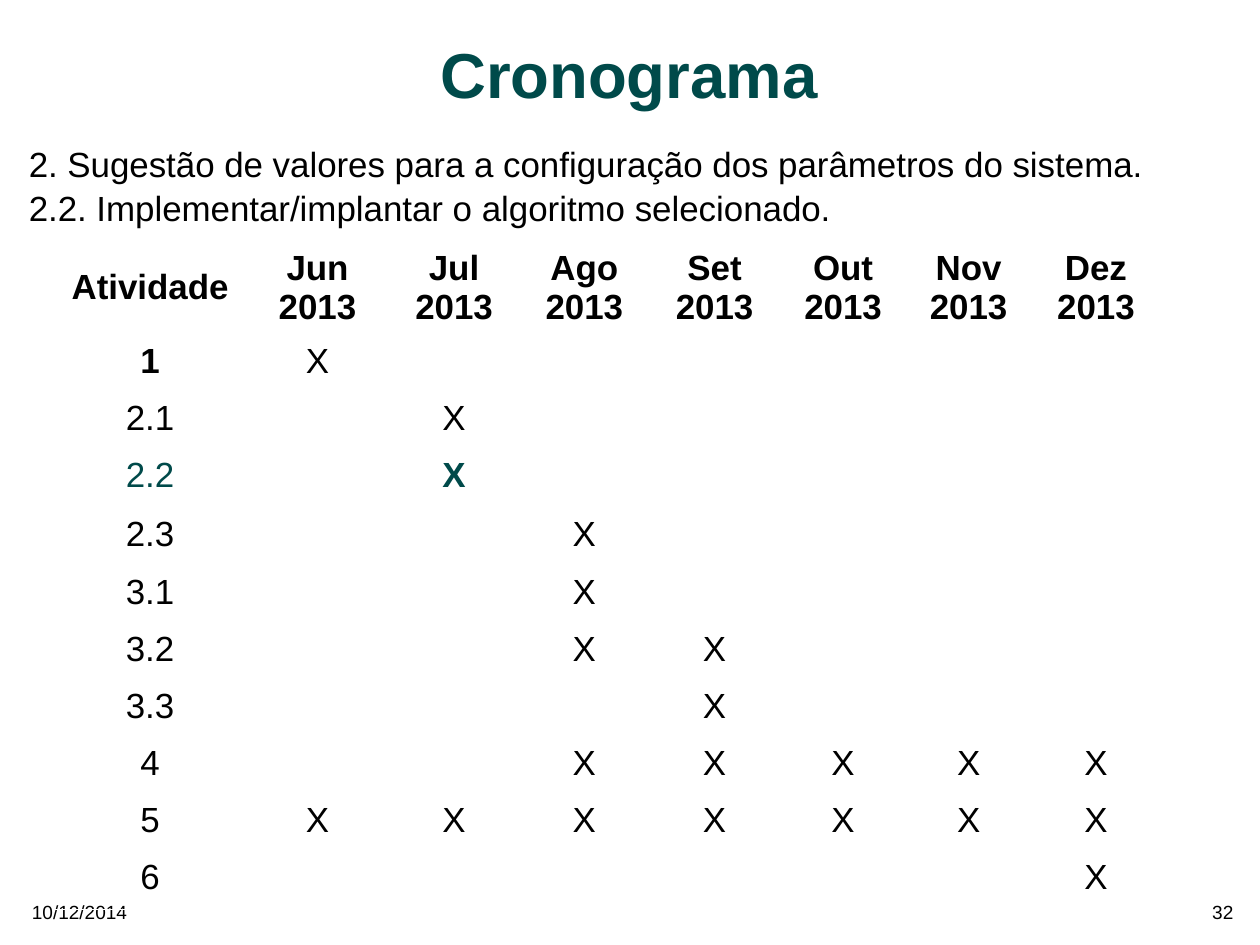
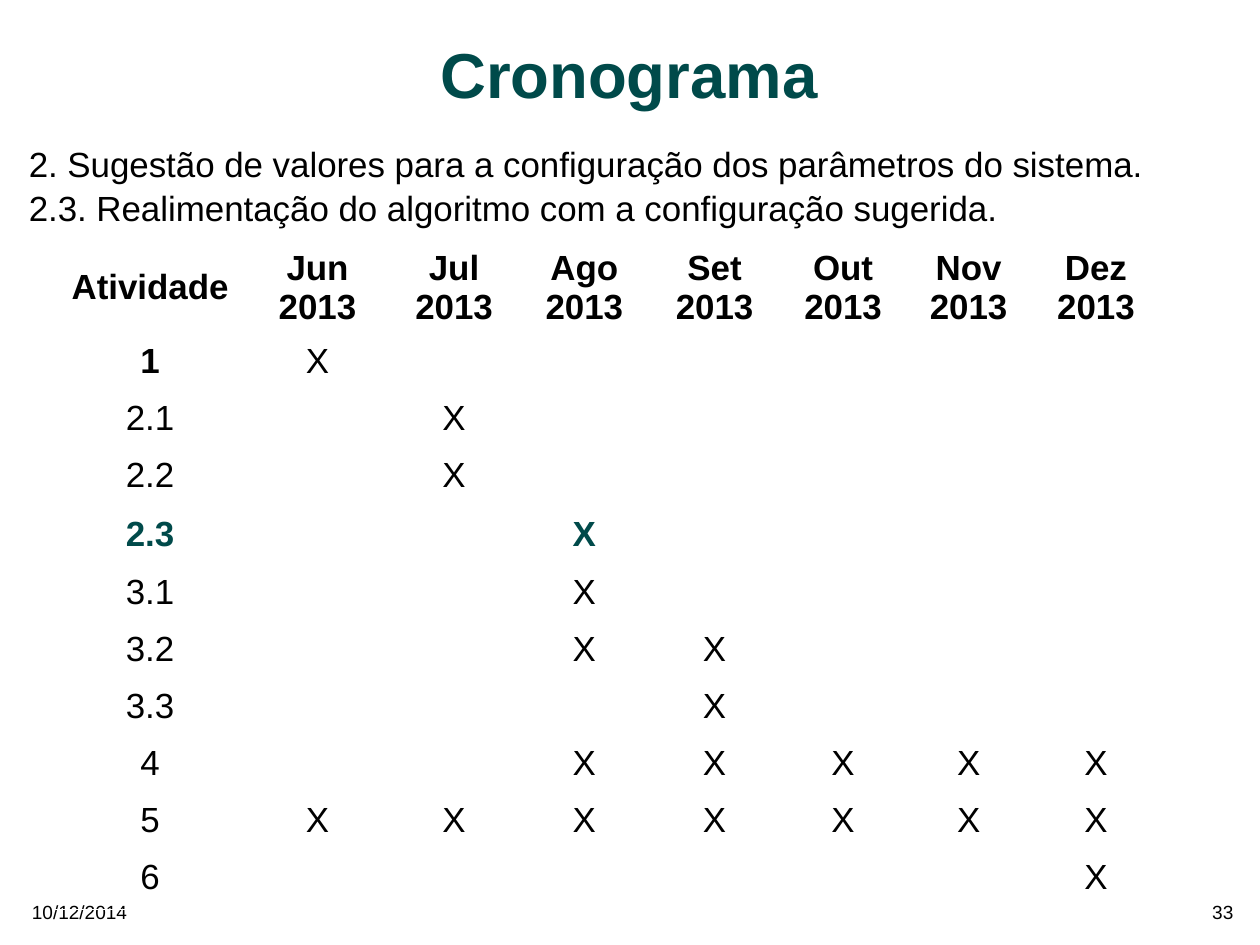
import pptx
import pptx.dml.color
import pptx.enum.text
import pptx.oxml
import pptx.util

Cm = pptx.util.Cm
Pt = pptx.util.Pt
ALIGN = pptx.enum.text.PP_ALIGN
ANCHOR = pptx.enum.text.MSO_ANCHOR

COLORS = {"text": "000000", "accent": "004A4A", "border": "FFFFFF"}
FONT = "Arial"
DATE = "10/12/2014"
TITLE = "Cronograma"
TOPIC = "2. Sugestão de valores para a configuração dos parâmetros do sistema."

MONTHS = ["Jun", "Jul", "Ago", "Set", "Out", "Nov", "Dez"]
YEAR = "2013"
SCHEDULE = {
    "1": ["Jun"],
    "2.1": ["Jul"],
    "2.2": ["Jul"],
    "2.3": ["Ago"],
    "3.1": ["Ago"],
    "3.2": ["Ago", "Set"],
    "3.3": ["Set"],
    "4": ["Ago", "Set", "Out", "Nov", "Dez"],
    "5": MONTHS,
    "6": ["Dez"],
}
BOLD_ACTIVITIES = {"1"}

SLIDES = [
    {"number": "32", "current": "2.2", "bold_label": False,
     "task": "2.2. Implementar/implantar o algoritmo selecionado."},
    {"number": "33", "current": "2.3", "bold_label": True,
     "task": "2.3. Realimentação do algoritmo com a configuração sugerida."},
]

COLUMN_WIDTHS = [4.29, 3.15, 2.92, 2.87, 2.92, 2.79, 2.79, 2.87]
HEADER_HEIGHT = 2.16
ROW_HEIGHT = 1.27
ROW_HEIGHTS = {"2.2": 1.31}


def write(frame, lines, size, color="text", bold=False, align=ALIGN.LEFT, gap=0):
    for index, line in enumerate(lines):
        paragraph = frame.add_paragraph() if index else frame.paragraphs[0]
        paragraph.alignment = align
        if index and gap:
            paragraph.space_before = Pt(gap)
        run = paragraph.add_run()
        run.text = line
        run.font.name = FONT
        run.font.size = Pt(size)
        run.font.bold = bold
        run.font.color.rgb = pptx.dml.color.RGBColor.from_string(COLORS[color])


def clear_frame(frame, anchor):
    frame.margin_left = frame.margin_right = frame.margin_top = frame.margin_bottom = 0
    frame.word_wrap = True
    frame.auto_size = pptx.enum.text.MSO_AUTO_SIZE.NONE
    frame.vertical_anchor = anchor


def add_text(slide, box, lines, size, **style):
    frame = slide.shapes.add_textbox(*map(Cm, box)).text_frame
    clear_frame(frame, ANCHOR.TOP)
    write(frame, lines, size, **style)


def add_title(slide):
    title = slide.shapes.title
    title.left, title.top, title.width, title.height = map(Cm, (3.23, 0.46, 21.49, 2.64))
    clear_frame(title.text_frame, ANCHOR.MIDDLE)
    write(title.text_frame, [TITLE], 40, color="accent", bold=True, align=ALIGN.CENTER)
    title.text_frame.paragraphs[0].line_spacing = 0.8


def format_cell(cell, anchor):
    cell.margin_left = cell.margin_right = Cm(0.1)
    cell.margin_top = cell.margin_bottom = Cm(0.13)
    cell.vertical_anchor = anchor
    properties = cell._tc.get_or_add_tcPr()
    for side in ("lnL", "lnR", "lnT", "lnB"):
        properties.append(pptx.oxml.parse_xml(
            f'<a:{side} xmlns:a="http://schemas.openxmlformats.org/drawingml/2006/main" '
            f'w="{Pt(1.19)}"><a:solidFill><a:srgbClr val="{COLORS["border"]}"/>'
            f'</a:solidFill></a:{side}>'))
    cell.fill.background()


def add_schedule(slide, current, bold_label):
    heights = [HEADER_HEIGHT] + [ROW_HEIGHTS.get(name, ROW_HEIGHT) for name in SCHEDULE]
    table = slide.shapes.add_table(
        len(heights), len(COLUMN_WIDTHS), Cm(1.19), Cm(5.31),
        Cm(sum(COLUMN_WIDTHS)), Cm(sum(heights))).table
    table.first_row = table.horz_banding = False
    for column, width in zip(table.columns, COLUMN_WIDTHS):
        column.width = Cm(width)
    for row, height in zip(table.rows, heights):
        row.height = Cm(height)

    headings = [["Atividade"]] + [[month, YEAR] for month in MONTHS]
    for column, lines in enumerate(headings):
        cell = table.cell(0, column)
        format_cell(cell, ANCHOR.MIDDLE)
        write(cell.text_frame, lines, 22, bold=True, align=ALIGN.CENTER)

    for row, (activity, active) in enumerate(SCHEDULE.items(), start=1):
        is_current = activity == current
        color = "accent" if is_current else "text"
        label_bold = activity in BOLD_ACTIVITIES or (is_current and bold_label)
        entries = [(activity, label_bold)]
        entries += [("X" if month in active else "", is_current) for month in MONTHS]
        for column, (entry, bold) in enumerate(entries):
            cell = table.cell(row, column)
            format_cell(cell, ANCHOR.TOP)
            if entry:
                write(cell.text_frame, [entry], 22, color=color, bold=bold,
                      align=ALIGN.CENTER)


def add_footer(slide, number):
    top, width, height = 20.02, 7.42, 0.53
    add_text(slide, (0.71, top, width, height), [DATE], 12)
    add_text(slide, (19.99, top, width, height), [number], 12, align=ALIGN.RIGHT)


def main():
    deck = pptx.Presentation()
    deck.slide_width = Cm(28)
    deck.slide_height = Cm(21)
    for content in SLIDES:
        slide = deck.slides.add_slide(deck.slide_layouts[5])
        add_footer(slide, content["number"])
        add_title(slide)
        add_text(slide, (0.64, 3.18, 26.67, 1.93), [TOPIC, content["task"]], 22, gap=1)
        add_schedule(slide, content["current"], content["bold_label"])
    deck.save("out.pptx")


if __name__ == "__main__":
    main()
